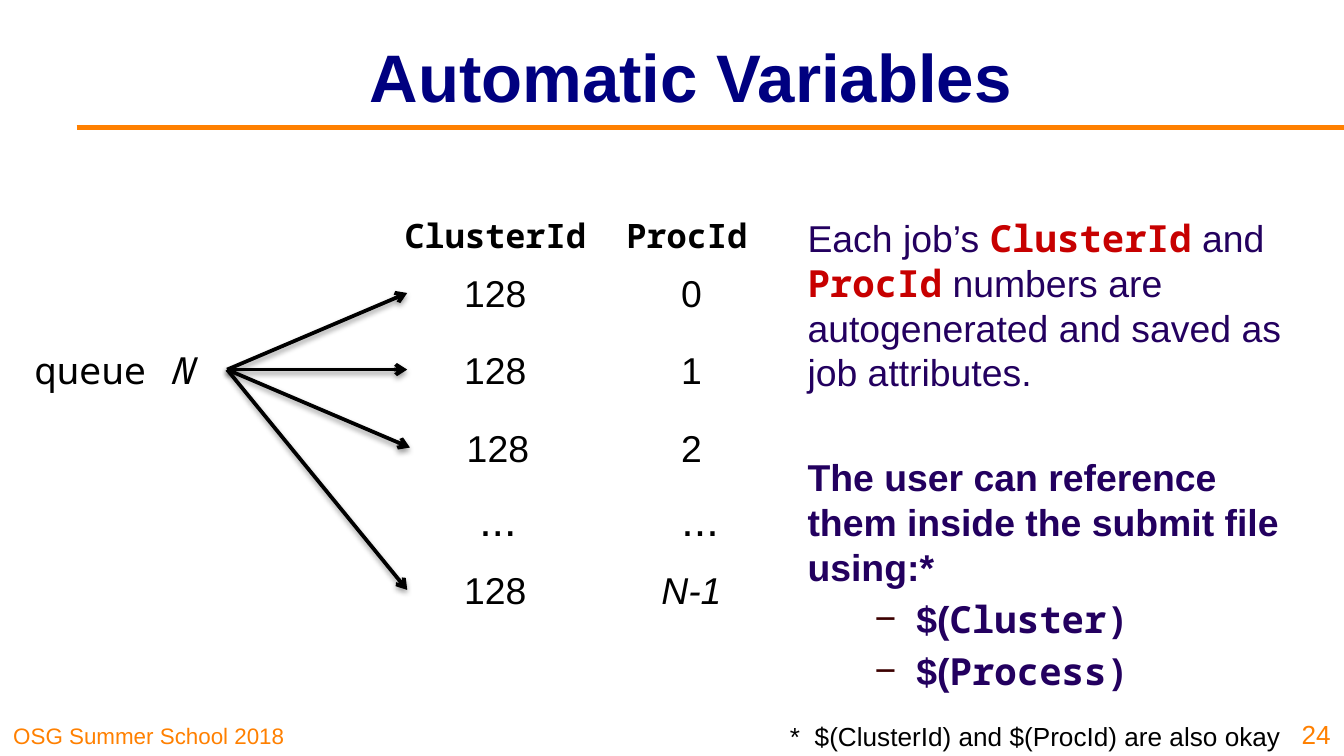
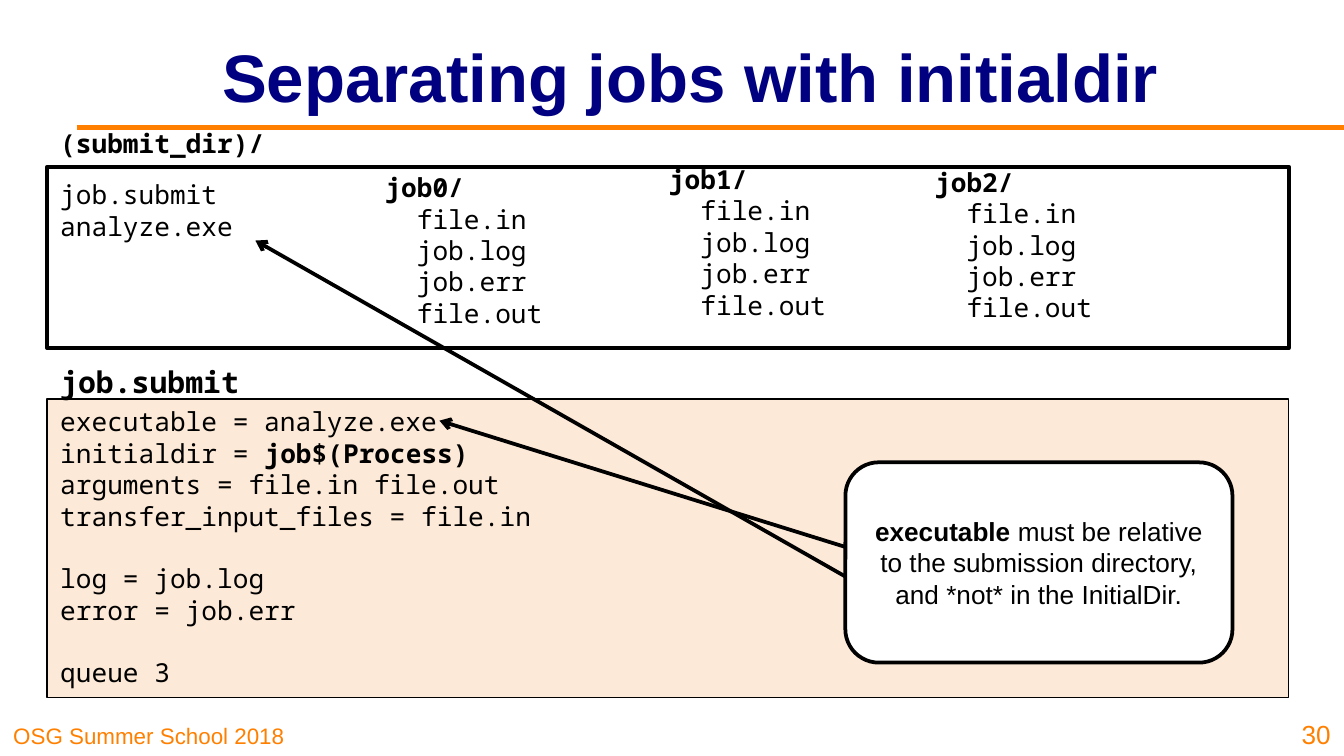
from lxml import etree
from pptx import Presentation
from pptx.dml.color import RGBColor
from pptx.enum.shapes import MSO_CONNECTOR, MSO_SHAPE
from pptx.enum.text import MSO_ANCHOR, PP_ALIGN
from pptx.oxml import parse_xml
from pptx.oxml.ns import nsdecls, qn
from pptx.util import Inches, Pt

COLORS = {
    "orange": "FF8000",
    "navy": "000080",
    "purple": "23005F",
    "red": "C70000",
    "brown": "3C0000",
    "peach": "FCE9D7",
    "black": "000000",
    "white": "FFFFFF",
}
SANS = "Arial"
MONO = "Noto Sans Mono"
LEFT, CENTER, RIGHT = PP_ALIGN.LEFT, PP_ALIGN.CENTER, PP_ALIGN.RIGHT
TOP, MIDDLE, BOTTOM = MSO_ANCHOR.TOP, MSO_ANCHOR.MIDDLE, MSO_ANCHOR.BOTTOM


def rgb(name):
    """Return the named palette colour."""
    return RGBColor.from_string(COLORS[name])


def format_span(span, size, font=SANS, color="black", bold=False, italic=False):
    """Apply the character style to one run."""
    span.font.size = Pt(size)
    span.font.name = font
    span.font.color.rgb = rgb(color)
    span.font.bold = bold
    span.font.italic = italic


def add_span(para, text, size, **style):
    """Append a styled run to a paragraph."""
    span = para.add_run()
    span.text = text
    format_span(span, size, **style)


def set_text(box, text, size, align=LEFT, anchor=TOP, wrap=True, **style):
    """Fill a shape with text in one style and return its paragraphs."""
    frame = box.text_frame
    frame.text = text
    frame.word_wrap = wrap
    frame.vertical_anchor = anchor
    for para in frame.paragraphs:
        para.alignment = align
        for span in para.runs:
            format_span(span, size, **style)
    return frame.paragraphs


def add_text(slide, place, text, size, **style):
    """Add a text box at left, top, width, height."""
    box = slide.shapes.add_textbox(*map(Inches, place))
    set_text(box, text, size, **style)
    return box


def add_panel(slide, place, fill, line_width, kind=MSO_SHAPE.RECTANGLE):
    """Add a filled shape with a black outline."""
    panel = slide.shapes.add_shape(kind, *map(Inches, place))
    panel.shadow.inherit = False
    panel.fill.solid()
    panel.fill.fore_color.rgb = rgb(fill)
    panel.line.color.rgb = rgb("black")
    panel.line.width = Pt(line_width)
    return panel


def add_line(slide, start, end, color="black", width=2, arrow=True, shadow=False):
    """Add a straight line, with an optional arrowhead and shadow."""
    line = slide.shapes.add_connector(
        MSO_CONNECTOR.STRAIGHT, *map(Inches, (*start, *end)))
    line.line.color.rgb = rgb(color)
    line.line.width = Pt(width)
    if arrow:
        etree.SubElement(line.line._get_or_add_ln(), qn("a:tailEnd"), type="arrow")
    drop = (
        f'<a:outerShdw blurRad="{Pt(3.1)}" dist="{Pt(1.6)}" dir="5400000" '
        'rotWithShape="0"><a:srgbClr val="000000"><a:alpha val="38000"/>'
        '</a:srgbClr></a:outerShdw>') if shadow else ""
    line._element.spPr.append(
        parse_xml(f'<a:effectLst {nsdecls("a")}>{drop}</a:effectLst>'))
    return line


def add_dash_bullet(para):
    """Indent a paragraph and give it a dash bullet."""
    para.level = 1
    properties = para._p.get_or_add_pPr()
    properties.set("marL", str(Inches(0.81)))
    properties.set("indent", str(Inches(-0.31)))
    color = etree.SubElement(properties, qn("a:buClr"))
    etree.SubElement(color, qn("a:srgbClr"), val=COLORS["brown"])
    etree.SubElement(properties, qn("a:buFont"), typeface=SANS)
    etree.SubElement(properties, qn("a:buChar"), char="−")


def add_base_slide(deck, title, number):
    """Add a slide with the shared footer, rule, title and number."""
    slide = deck.slides.add_slide(deck.slide_layouts[6])
    add_text(slide, (0, 5.31, 2.48, 0.31), "OSG Summer School 2018", 12,
             anchor=BOTTOM, color="orange")
    add_line(slide, (0.57, 0.95), (10, 0.95), "orange", 3, arrow=False)
    add_text(slide, (1.34, 0.09, 7.6, 0.94), title, 36, align=CENTER,
             anchor=MIDDLE, color="navy", bold=True)
    add_text(slide, (9.54, 5.25, 0.46, 0.38), str(number), 14, align=RIGHT,
             anchor=BOTTOM, color="orange")
    return slide


def add_label(slide, left, top, width, text, size=20, **style):
    """Add a centred label of the queue diagram."""
    return add_text(slide, (left, top, width, 0.88), text, size,
                    align=CENTER, anchor=MIDDLE, **style)


def add_queue_diagram(slide):
    """Draw the queue statement fanning out to the numbered jobs."""
    queue = add_label(slide, -0.01, 2.31, 1.7, "queue ", font=MONO)
    add_span(queue.text_frame.paragraphs[0], "N", 20, font=MONO, italic=True)
    add_label(slide, 2.87, 1.31, 1.63, "ClusterId", 18, font=MONO, bold=True)
    add_label(slide, 4.37, 1.31, 1.48, "ProcId", 18, font=MONO, bold=True)
    jobs = [(3.03, 1.74, "0"), (3.03, 2.31, "1"), (3.05, 2.89, "2"), (3.03, 3.95, "N-1")]
    for left, top, process in jobs:
        cluster = add_label(slide, left, top, 1.31, "128")
        add_label(slide, 4.78, top, 0.73, process, italic=process == "N-1")
        arrow = add_line(slide, (1.69, 2.75), (left, top + 0.44), shadow=True)
        arrow.begin_connect(queue, 3)
        arrow.end_connect(cluster, 1)
    for left, width in ((3.05, 1.31), (4.53, 1.36)):
        add_label(slide, left, 3.42, width, "...", 24)


def add_explanation(slide):
    """Add the text on how jobs are numbered and referenced."""
    lines = ["Each job’s ",
             "The user can reference them inside the submit file using:*",
             "$(", "$("]
    box = add_text(slide, (5.91, 1.16, 3.88, 4.09), "\n".join(lines), 20,
                   color="purple", bold=True)
    box.text_frame.margin_top = Inches(0.44)
    intro, usage, *variables = box.text_frame.paragraphs
    intro.runs[0].font.bold = False
    for name, rest in (("ClusterId", " and "),
                       ("ProcId", " numbers are autogenerated and saved as job attributes.")):
        add_span(intro, name, 20, font=MONO, color="red", bold=True)
        add_span(intro, rest, 20, color="purple")
    usage.space_before = Pt(32)
    for para, name in zip(variables, ("Cluster)", "Process)")):
        para.space_before = Pt(4)
        add_dash_bullet(para)
        add_span(para, name, 20, font=MONO, color="purple", bold=True)


def build_variables_slide(deck):
    """Build the slide on automatic variables."""
    slide = add_base_slide(deck, "Automatic Variables", 24)
    add_explanation(slide)
    add_queue_diagram(slide)
    add_text(slide, (5.78, 5.31, 3.87, 0.34),
             "*  $(ClusterId) and $(ProcId) are also okay", 14, wrap=False)


def add_submit_file(slide):
    """Add the panel with the submit file's code."""
    panel = add_panel(slide, (0.35, 2.97, 9.24, 2.22), "peach", 0.75)
    lines = ["executable = analyze.exe", "initialdir = ",
             "arguments = file.in file.out", "transfer_input_files = file.in",
             "log = job.log", "error = job.err", "queue 3"]
    paras = set_text(panel, "\n".join(lines), 14, font=MONO)
    add_span(paras[1], "job$(Process)", 14, font=MONO, bold=True)
    for index in (4, 6):
        paras[index].space_before = Pt(16.8)


def add_submit_directory(slide):
    """Add the panel with the directory's files and job folders."""
    panel = add_panel(slide, (0.35, 1.24, 9.24, 1.35), "white", 2)
    set_text(panel, "job.submit\nanalyze.exe", 14, font=MONO)
    panel.text_frame.margin_top = Inches(0.09)
    files = ["file.in", "job.log", "job.err", "file.out"]
    for index, (left, top) in enumerate([(2.77, 1.17), (4.88, 1.11), (6.86, 1.13)]):
        lines = [f"job{index}/"] + [f"  {name}" for name in files]
        folder = add_text(slide, (left, top, 1.94, 1.38), "\n".join(lines), 14,
                          anchor=MIDDLE, font=MONO)
        folder.text_frame.paragraphs[0].runs[0].font.bold = True


def add_callout(slide):
    """Add the note on the executable and its two arrows."""
    note = add_panel(slide, (6.29, 3.44, 2.88, 1.49), "white", 2,
                     MSO_SHAPE.ROUNDED_RECTANGLE)
    paras = set_text(note, "executable", 14, align=CENTER, anchor=MIDDLE, bold=True)
    add_span(paras[0], " must be relative to the submission directory, "
             "and *not* in the InitialDir.", 14)
    add_line(slide, (6.29, 4.07), (3.27, 3.13))
    add_line(slide, (6.29, 4.29), (1.9, 1.79))


def build_initialdir_slide(deck):
    """Build the slide on separating jobs."""
    slide = add_base_slide(deck, "Separating jobs with initialdir", 30)
    add_submit_file(slide)
    add_submit_directory(slide)
    add_text(slide, (0.35, 2.66, 1.55, 0.37), "job.submit", 16,
             wrap=False, font=MONO, bold=True)
    add_text(slide, (0.35, 0.9, 1.73, 0.34), "(submit_dir)/", 14,
             wrap=False, font=MONO, bold=True)
    add_callout(slide)


def main():
    """Build the deck and save it."""
    deck = Presentation()
    deck.slide_width = Inches(10)
    deck.slide_height = Inches(10) * 9 // 16
    build_variables_slide(deck)
    build_initialdir_slide(deck)
    deck.save("out.pptx")


if __name__ == "__main__":
    main()
